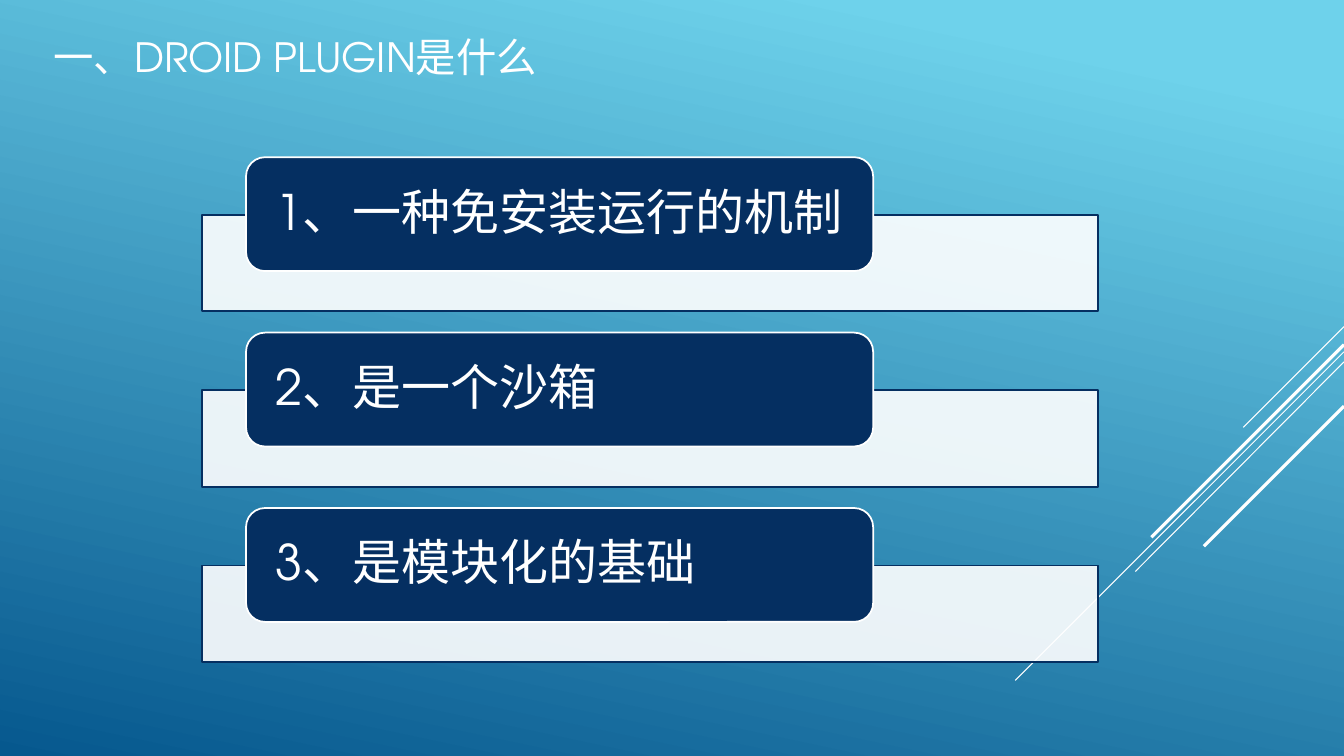
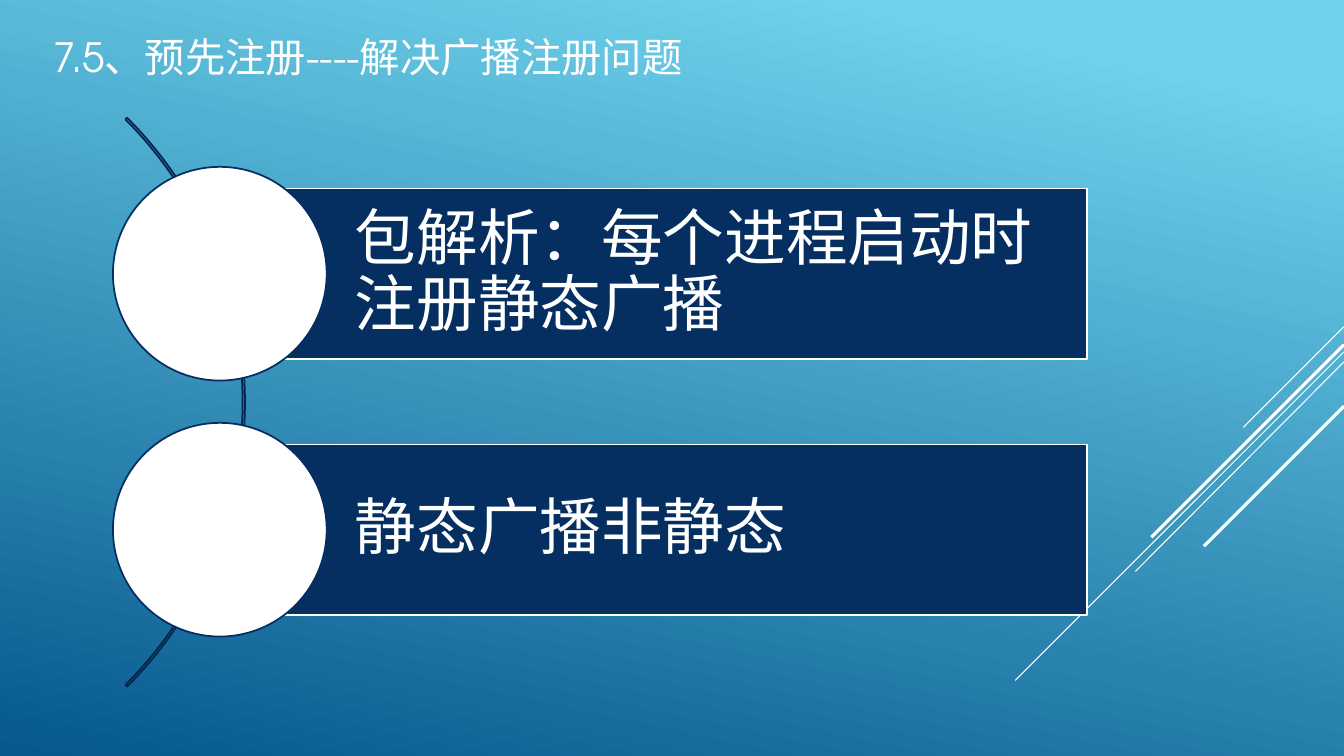
from lxml import etree
from pptx import Presentation
from pptx.dml.color import RGBColor
from pptx.enum.shapes import MSO_CONNECTOR, MSO_SHAPE
from pptx.enum.text import MSO_ANCHOR, MSO_AUTO_SIZE, PP_ALIGN
from pptx.oxml.ns import qn
from pptx.util import Inches, Pt

RECT, ROUND = MSO_SHAPE.RECTANGLE, MSO_SHAPE.ROUNDED_RECTANGLE
OVAL, ARC = MSO_SHAPE.OVAL, MSO_SHAPE.BLOCK_ARC
STRAIGHT = MSO_CONNECTOR.STRAIGHT
MIDDLE, LEFT, NO_FIT = MSO_ANCHOR.MIDDLE, PP_ALIGN.LEFT, MSO_AUTO_SIZE.NONE

# Content
DEFINITION_TITLE = "一、DROID PLUGIN是什么"
DEFINITIONS = ["1、一种免安装运行的机制", "2、是一个沙箱", "3、是模块化的基础"]
BROADCAST_TITLE = "7.5、预先注册----解决广播注册问题"
BROADCASTS = ["包解析：每个进程启动时注册静态广播", "静态广播非静态"]

# Shared style
FONT = "TeX Gyre Adventor"
WHITE, NAVY, DARK_NAVY = "FFFFFF", "052F61", "04264E"
BACKGROUND = [(0.1, "6ED2EB"), (1, "06588E")]
SLIDE_W, SLIDE_H = 13.33, 7.5
# Diagonals from the right edge: start height, end point, width in points
DIAGONALS = [
    (3.24, (12.33, 4.24), 0.75),
    (3.49, (10.07, 6.75), 0.75),
    (3.59, (11.26, 5.67), 0.75),
    (3.42, (11.42, 5.33), 2.25),
    (4.03, (11.94, 5.42), 2.25),
]


def color(value):
    return RGBColor.from_string(value)


def put_text(sp, text, size, insets=(0.1, 0.05, 0.1, 0.05), spacing=None):
    tf = sp.text_frame
    tf.word_wrap = True
    tf.auto_size = NO_FIT
    tf.vertical_anchor = MIDDLE
    (tf.margin_left, tf.margin_top,
     tf.margin_right, tf.margin_bottom) = [Inches(v) for v in insets]
    p = tf.paragraphs[0]
    p.alignment = LEFT
    if spacing:
        p.line_spacing = spacing
    r = p.add_run()
    r.text = text
    r.font.name = FONT
    r.font.size = Pt(size)
    r.font.color.rgb = color(WHITE)


def add_shape(s, kind, x, y, w, h, fill=None, line=WHITE, alpha=None):
    sp = s.shapes.add_shape(kind, Inches(x), Inches(y), Inches(w), Inches(h))
    sp.shadow.inherit = False
    sp.line.color.rgb = color(line)
    sp.line.width = Pt(1.25)
    if fill is None:
        sp.fill.background()
        return sp
    sp.fill.solid()
    sp.fill.fore_color.rgb = color(fill)
    if alpha is not None:
        rgb = sp.element.spPr.find(qn("a:solidFill")).find(qn("a:srgbClr"))
        etree.SubElement(rgb, qn("a:alpha")).set("val", str(alpha * 1000))
    return sp


def add_slide(prs, title):
    s = prs.slides.add_slide(prs.slide_layouts[5])
    for start_y, (end_x, end_y), width in DIAGONALS:
        c = s.shapes.add_connector(STRAIGHT, Inches(SLIDE_W), Inches(start_y),
                                   Inches(end_x), Inches(end_y))
        c.line.color.rgb = color(WHITE)
        c.line.width = Pt(width)
        etree.SubElement(c.element.spPr, qn("a:effectLst"))
    sp = s.shapes.title
    sp.left, sp.top = Inches(0.43), Inches(0.25)
    sp.width, sp.height = Inches(11), Inches(0.61)
    put_text(sp, title, 28.8)
    return s


def set_background(prs):
    fill = prs.slide_master.background.fill
    fill.gradient()
    fill.gradient_angle = 258
    for stop, (position, value) in zip(fill.gradient_stops, BACKGROUND):
        stop.position = position
        stop.color.rgb = color(value)


def build_definitions(prs):
    s = add_slide(prs, DEFINITION_TITLE)
    top, pitch = 1.56, 1.74
    for i, text in enumerate(DEFINITIONS):
        y = top + i * pitch
        add_shape(s, RECT, 2, y + 0.57, 8.89, 0.96, WHITE, NAVY, alpha=90)
        label = add_shape(s, ROUND, 2.44, y, 6.22, 1.13, NAVY)
        put_text(label, text, 35, (0.24, 0, 0.24, 0), 0.9)


def build_broadcasts(prs):
    s = add_slide(prs, BROADCAST_TITLE)
    # Arc behind the circles, from 315 to 45 degrees
    arc = add_shape(s, ARC, -5.55, 0, 7.98, 7.98, line=DARK_NAVY)
    for i, value in enumerate((189, 27, 0.003)):
        arc.adjustments[i] = value
    # Bars with a circle centred on each left end
    left, top, pitch, bar_h, circle = 2.18, 1.87, 2.54, 1.69, 2.12
    for i, text in enumerate(BROADCASTS):
        y = top + i * pitch
        bar = add_shape(s, RECT, left, y, 8.6, bar_h, NAVY)
        put_text(bar, text, 44, (1.34, 0.12, 0.12, 0.12), 0.9)
        add_shape(s, OVAL, left - circle / 2, y + (bar_h - circle) / 2,
                  circle, circle, WHITE, NAVY)


def main():
    prs = Presentation()
    prs.slide_width, prs.slide_height = Inches(SLIDE_W), Inches(SLIDE_H)
    set_background(prs)
    build_definitions(prs)
    build_broadcasts(prs)
    prs.save("out.pptx")


if __name__ == "__main__":
    main()
